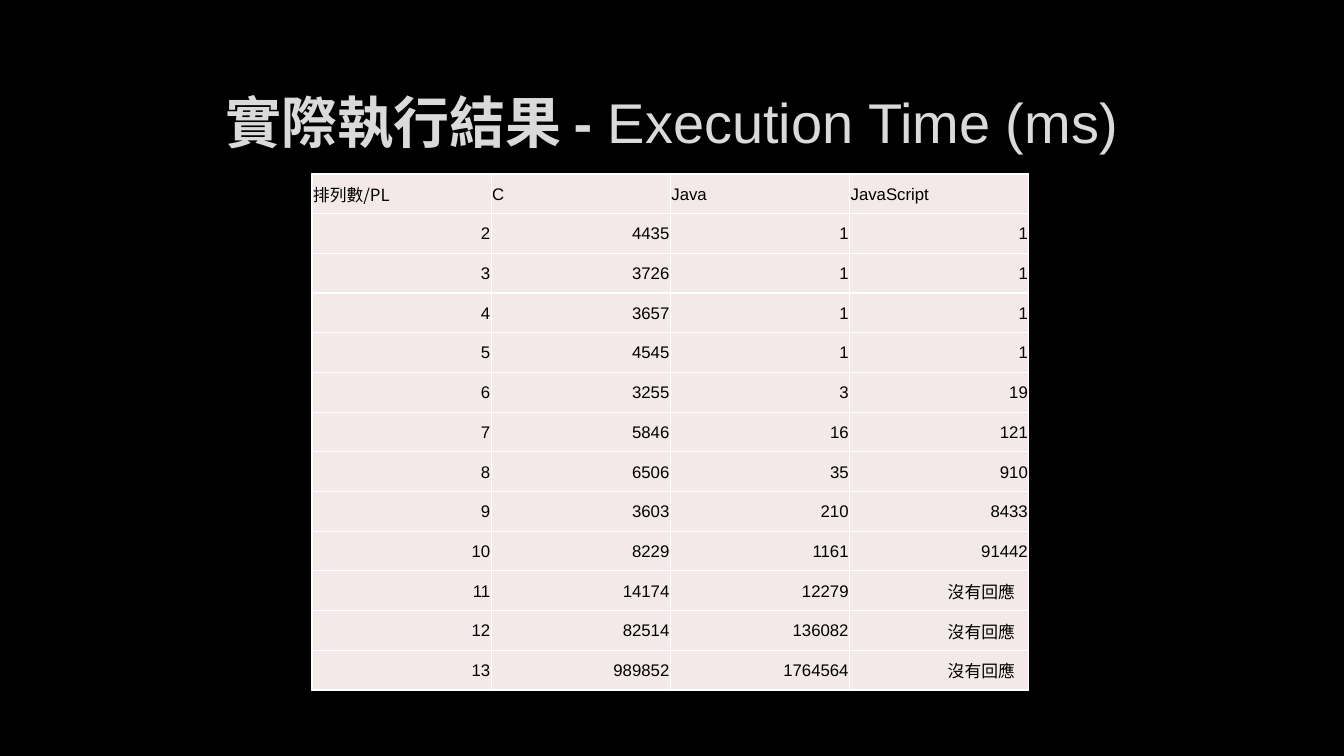
import pptx
import pptx.util
import pptx.dml.color
import pptx.enum.text
import pptx.oxml
import pptx.oxml.ns
from dataclasses import dataclass
from lxml import etree

ALIGN = pptx.enum.text.PP_ALIGN
MIDDLE = pptx.enum.text.MSO_ANCHOR.MIDDLE


@dataclass(frozen=True)
class Theme:
    back: str = "000000"
    title: str = "DADADA"
    ink: str = "000000"
    cell: str = "F3E9E8"
    rule: str = "FFFFFF"
    latin: str = "Arial"
    asian: str = "Noto Sans CJK TC"
    head: int = 40
    body: int = 12


THEME = Theme()
SILENT = "沒有回應"
HEADS = ["排列數/PL", "C", "Java", "JavaScript"]
TIMES = [
    (2, 4435, 1, 1),
    (3, 3726, 1, 1),
    (4, 3657, 1, 1),
    (5, 4545, 1, 1),
    (6, 3255, 3, 19),
    (7, 5846, 16, 121),
    (8, 6506, 35, 910),
    (9, 3603, 210, 8433),
    (10, 8229, 1161, 91442),
    (11, 14174, 12279, SILENT),
    (12, 82514, 136082, SILENT),
    (13, 989852, 1764564, SILENT),
]


def px(count):
    return round(count * 914400 / 100.8)


def rgb(code):
    return pptx.dml.color.RGBColor.from_string(code)


def write(para, text, size=THEME.body, color=THEME.ink, font=THEME.latin,
          bold=False, align=ALIGN.LEFT):
    para.alignment = align
    run = para.add_run()
    run.text = text
    run.font.size = pptx.util.Pt(size)
    run.font.name = font
    run.font.bold = bold
    run.font.color.rgb = rgb(color)
    props = run.font._element
    asian = etree.SubElement(props, pptx.oxml.ns.qn("a:ea"))
    asian.set("typeface", THEME.asian)


def border(cell):
    props = cell._tc.get_or_add_tcPr()
    space = pptx.oxml.ns.nsdecls("a")
    for spot, side in enumerate("LRTB"):
        line = pptx.oxml.parse_xml(
            f'<a:ln{side} {space} w="12700"><a:solidFill>'
            f'<a:srgbClr val="{THEME.rule}"/></a:solidFill></a:ln{side}>')
        props.insert(spot, line)


def title(slide, left, top, width, height):
    box = slide.shapes.add_textbox(px(left), px(top), px(width), px(height))
    frame = box.text_frame
    frame.word_wrap = True
    frame.vertical_anchor = MIDDLE
    para = frame.paragraphs[0]
    look = dict(size=THEME.head, color=THEME.title, align=ALIGN.CENTER)
    write(para, "實際執行結果 - ", bold=True, **look)
    write(para, "Execution Time (ms)", **look)


def results(slide, left, top, width, height):
    rows = [HEADS] + TIMES
    grid = slide.shapes.add_table(len(rows), len(HEADS), px(left), px(top),
                                  px(width), px(height)).table
    for r, row in enumerate(rows):
        for c, value in enumerate(row):
            cell = grid.cell(r, c)
            cell.fill.solid()
            cell.fill.fore_color.rgb = rgb(THEME.cell)
            cell.vertical_anchor = MIDDLE
            cell.margin_left = cell.margin_top = px(1)
            cell.margin_bottom = 0
            # Missing times stand in from the right edge
            cell.margin_right = px(14 if value == SILENT else 1)
            write(cell.text_frame.paragraphs[0], str(value),
                  font=THEME.asian if r == c == 0 else THEME.latin,
                  align=ALIGN.RIGHT if r else ALIGN.LEFT)
            border(cell)


def page(deck, width, height):
    slide = deck.slides.add_slide(deck.slide_layouts[6])
    fill = slide.background.fill
    fill.solid()
    fill.fore_color.rgb = rgb(THEME.back)
    # Heading
    title(slide, 101, 68, width - 203, 107)
    # Execution times
    results(slide, 312, 174, 717, height - 240)


deck = pptx.Presentation()
deck.slide_width, deck.slide_height = px(1344), px(756)
page(deck, 1344, 756)
deck.save("out.pptx")
